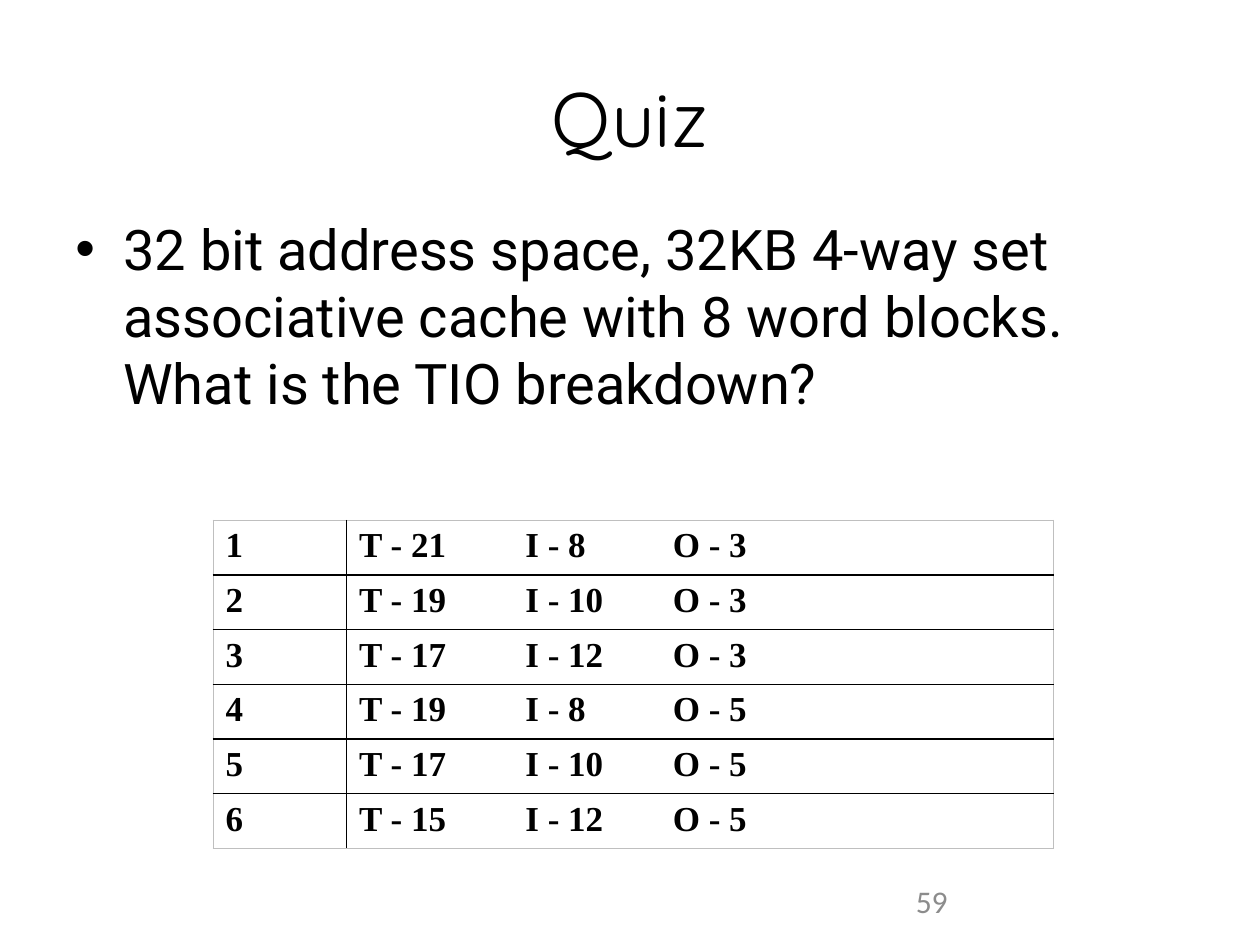
from lxml import etree
from pptx import Presentation
from pptx.dml.color import RGBColor
from pptx.enum import text
from pptx.oxml import ns
from pptx.util import Inches, Pt

COLORS = {"ink": "000000", "edge": "BFBFBF", "number": "8C8C8C"}


def add_run(paragraph, words, font, size, color="ink", bold=False):
    run = paragraph.add_run()
    run.text = words
    run.font.name = font
    run.font.size = Pt(size)
    run.font.bold = bold
    run.font.color.rgb = RGBColor.from_string(COLORS[color])


def add_border(cell, side, color, width):
    line = etree.SubElement(cell._tc.get_or_add_tcPr(), ns.qn(f"a:ln{side}"), w=str(Pt(width)))
    fill = etree.SubElement(line, ns.qn("a:solidFill"))
    etree.SubElement(fill, ns.qn("a:srgbClr"), val=COLORS[color])


prs = Presentation()
prs.slide_width, prs.slide_height = Inches(10), Inches(7.5)
slide = prs.slides.add_slide(prs.slide_layouts[5])

# Title
title = slide.shapes.title
title.left, title.top = Inches(0.5), Inches(0.3)
title.width, title.height = Inches(9), Inches(1.25)
title.text_frame.vertical_anchor = text.MSO_ANCHOR.MIDDLE
heading = title.text_frame.paragraphs[0]
heading.alignment = text.PP_ALIGN.CENTER
add_run(heading, "Quiz", "Quicksand", 44)

# Question
question = slide.shapes.add_textbox(Inches(0.5), Inches(1.65), Inches(9), Inches(2.2))
question.text_frame.word_wrap = True
bullet = question.text_frame.paragraphs[0]
props = bullet._p.get_or_add_pPr()
props.set("marL", str(Inches(0.38)))
props.set("indent", str(Inches(-0.38)))
etree.SubElement(props, ns.qn("a:buFont"), typeface="Arial")
etree.SubElement(props, ns.qn("a:buChar"), char="•")
add_run(bullet, "32 bit address space, 32KB 4-way set associative cache with 8 word blocks. "
        "What is the TIO breakdown?", "Roboto", 32)

# Answer choices: tag, index and offset bits
choices = [(21, 8, 3), (19, 10, 3), (17, 12, 3), (19, 8, 5), (17, 10, 5), (15, 12, 5)]
row_height = Inches(0.41)
answers = slide.shapes.add_table(len(choices), 2, Inches(1.69), Inches(4.13),
                                 Inches(6.67), row_height * len(choices)).table
answers.first_row = answers.horz_banding = False
answers.columns[0].width, answers.columns[1].width = Inches(1.06), Inches(5.61)

for row, (tag, index, offset) in enumerate(choices):
    answers.rows[row].height = row_height
    labels = [str(row + 1), f"T - {tag}\tI - {index}\tO - {offset}"]
    for column, label in enumerate(labels):
        cell = answers.cell(row, column)
        outer = {"L": column == 0, "R": column == 1,
                 "T": row == 0, "B": row == len(choices) - 1}
        for side, at_edge in outer.items():
            add_border(cell, side, *(("edge", 0.5) if at_edge else ("ink", 1)))
        cell.fill.background()
        choice = cell.text_frame.paragraphs[0]
        if column == 1:
            tabs = etree.SubElement(choice._p.get_or_add_pPr(), ns.qn("a:tabLst"))
            for stop in (1.32, 2.49):
                etree.SubElement(tabs, ns.qn("a:tab"), pos=str(Inches(stop)), algn="l")
        add_run(choice, label, "Times New Roman", 20, bold=True)

# Slide number
number = slide.shapes.add_textbox(Inches(7.17), Inches(6.95), Inches(2.33), Inches(0.4))
number.text_frame.word_wrap = True
number.text_frame.vertical_anchor = text.MSO_ANCHOR.MIDDLE
add_run(number.text_frame.paragraphs[0], "59", "Calibri", 18, "number")

prs.save("out.pptx")
